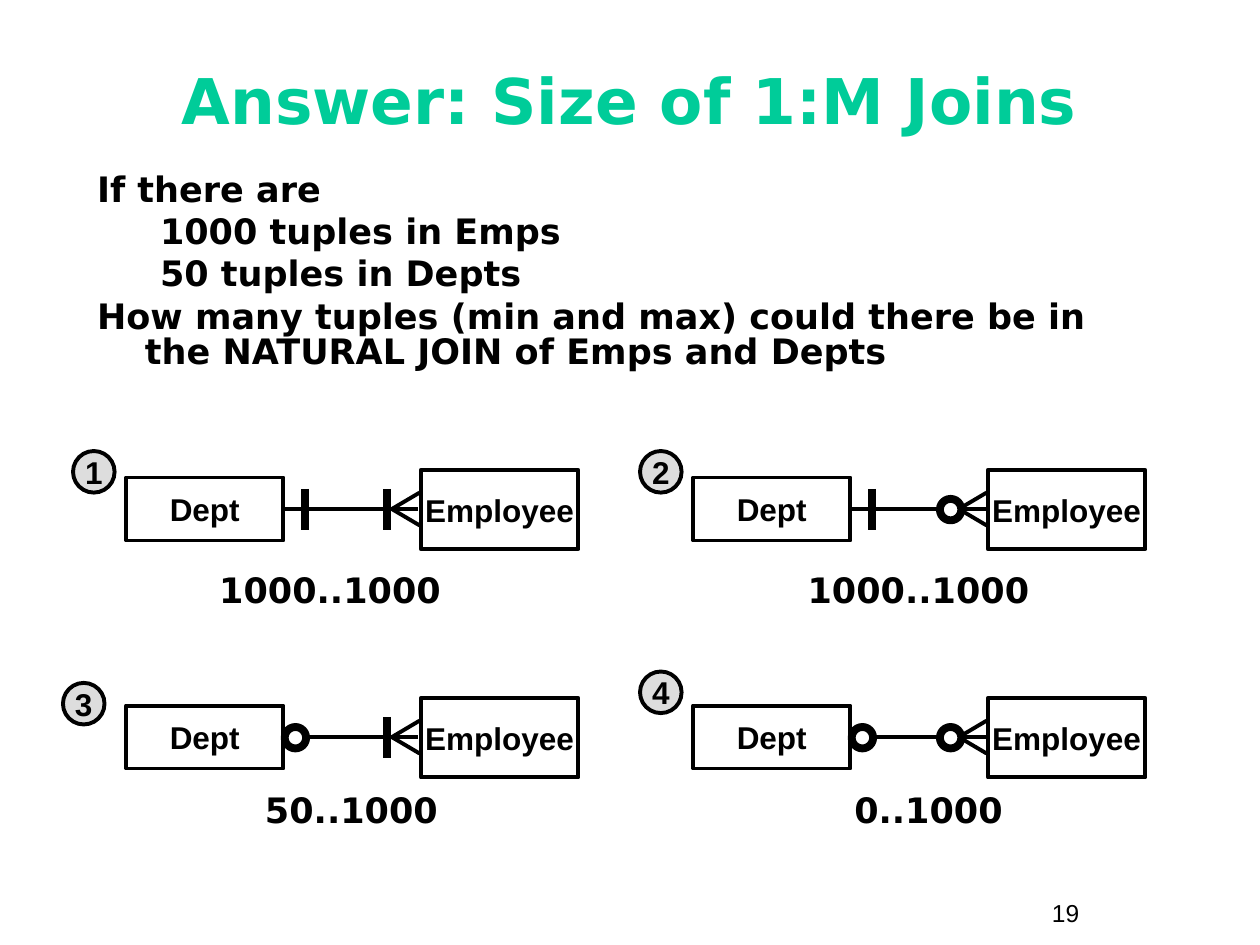
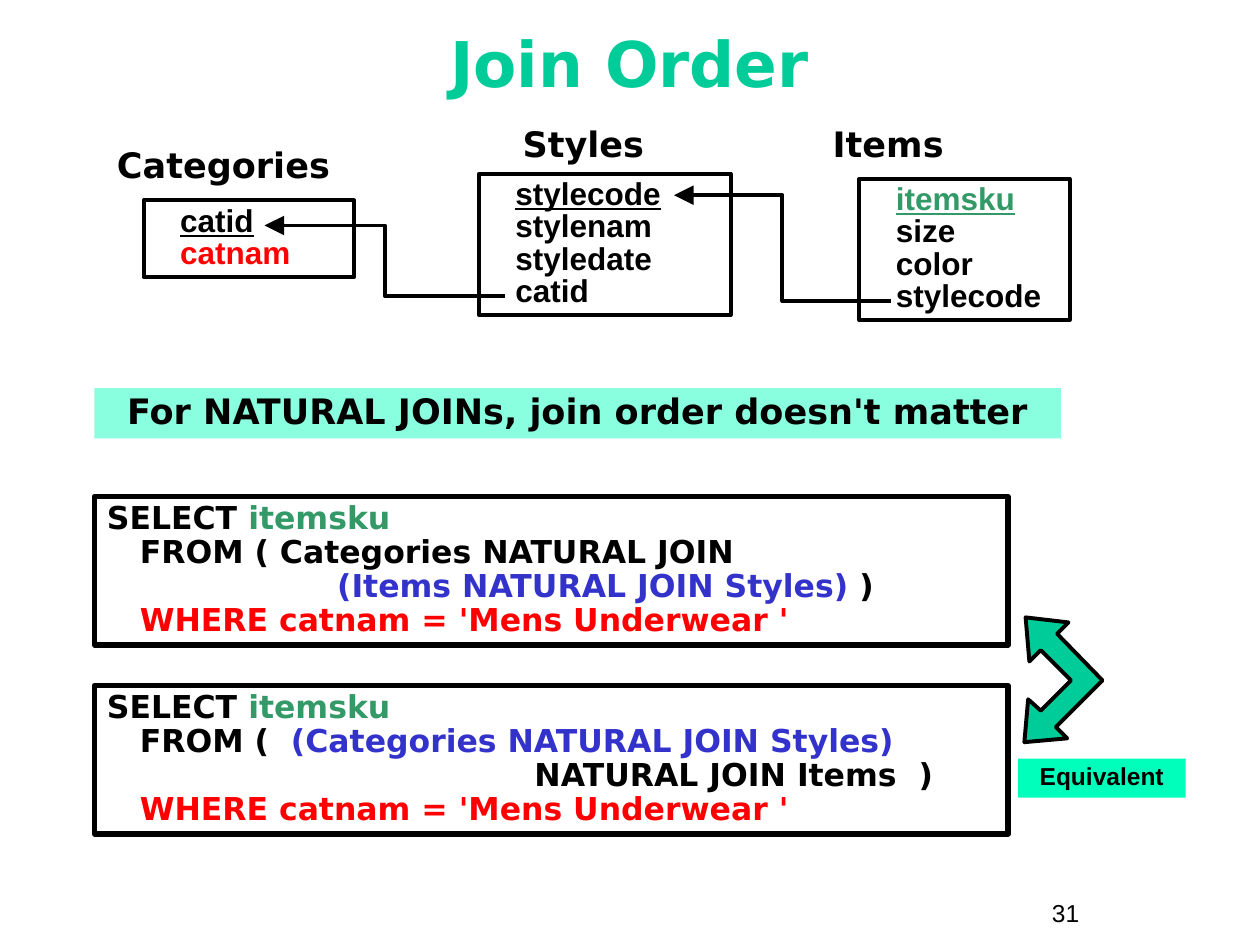
"""Builds two slides on the size and order of natural joins."""
from lxml.etree import SubElement
from pptx import Presentation
from pptx.dml.color import RGBColor
from pptx.enum.shapes import MSO_CONNECTOR, MSO_SHAPE
from pptx.enum.text import MSO_ANCHOR, MSO_AUTO_SIZE, PP_ALIGN
from pptx.oxml.ns import qn
from pptx.util import Inches, Pt

BLACK = RGBColor(0x00, 0x00, 0x00)
TEAL = RGBColor(0x00, 0xCC, 0x99)
GREEN = RGBColor(0x33, 0x99, 0x66)
RED = RGBColor(0xFF, 0x00, 0x00)
BLUE = RGBColor(0x33, 0x33, 0xCC)
GREY = RGBColor(0xDD, 0xDD, 0xDD)
MINT = RGBColor(0x89, 0xFF, 0xE0)
AQUA = RGBColor(0x01, 0xFF, 0xBC)

HEADING = {"name": "DejaVu Sans", "size": Pt(20), "bold": True, "color": BLACK}
TITLE = HEADING | {"size": Pt(36), "color": TEAL}
CODE = HEADING | {"size": Pt(18)}
LABEL = CODE | {"name": "Arial"}
TAG = LABEL | {"size": Pt(14)}
PAGE_NUMBER = TAG | {"bold": False}

LEFT = {"alignment": PP_ALIGN.LEFT}
CENTER = {"alignment": PP_ALIGN.CENTER}
CAPTION = CENTER | {"line_spacing": 0.9}
CODE_LINES = LEFT | {"line_spacing": 0.9}
TIGHT_LINES = LEFT | {"line_spacing": 0.85}

THIN, MEDIUM, THICK = 2.25, 3, 4.5


def style(target, formats):
    """Set each format value on a font, paragraph or text frame."""
    for name, value in formats.items():
        if name == "color":
            target.color.rgb = value
        else:
            setattr(target, name, value)


def write(frame, lines, font, layout, **frame_formats):
    """Fill a text frame; a line is a string or a list of (text, font changes)."""
    style(frame, {"word_wrap": True, "auto_size": MSO_AUTO_SIZE.NONE} | frame_formats)
    for index, line in enumerate(lines):
        paragraph = frame.add_paragraph() if index else frame.paragraphs[0]
        style(paragraph, layout)
        for text, changes in [(line, {})] if isinstance(line, str) else line:
            run = paragraph.add_run()
            run.text = text
            style(run.font, font | changes)


def place(shape, *area):
    """Move and size a placeholder, in inches."""
    style(shape, dict(zip(("left", "top", "width", "height"), map(Inches, area))))


def add_label(slide, text, area, font=HEADING, layout=LEFT):
    """Add one line of free-standing text."""
    box = slide.shapes.add_textbox(*map(Inches, area))
    write(box.text_frame, [text], font, layout)


def paint(shape, fill=None, width=None):
    """Give a shape its fill and black outline, or none of them."""
    shape.shadow.inherit = False
    if fill is None:
        shape.fill.background()
    else:
        shape.fill.solid()
        shape.fill.fore_color.rgb = fill
    if width is None:
        shape.line.fill.background()
    else:
        shape.line.color.rgb = BLACK
        shape.line.width = Pt(width)


def add_shape(slide, preset, area, fill=None, width=None):
    """Add a preset shape and return its text frame."""
    shape = slide.shapes.add_shape(preset, *map(Inches, area))
    paint(shape, fill, width)
    return shape.text_frame


def add_line(slide, start, end, width=THIN, bent=False):
    """Add a straight line, or a bent one that ends in an arrowhead."""
    kind = MSO_CONNECTOR.ELBOW if bent else MSO_CONNECTOR.STRAIGHT
    line = slide.shapes.add_connector(kind, *map(Inches, (*start, *end)))
    line.line.color.rgb = BLACK
    line.line.width = Pt(width)
    if bent:
        SubElement(line.line._get_or_add_ln(), qn("a:tailEnd"), type="triangle", w="lg", len="lg")
    SubElement(line._element.spPr, qn("a:effectLst"))


def add_slide(deck, layout, title, title_area, number):
    """Add a slide with its title and page number."""
    slide = deck.slides.add_slide(deck.slide_layouts[layout])
    place(slide.shapes.title, *title_area)
    write(slide.shapes.title.text_frame, [title], TITLE, CENTER, vertical_anchor=MSO_ANCHOR.MIDDLE)
    add_label(slide, str(number), (8.25, 7.08, 0.92, 0.34), PAGE_NUMBER)
    return slide


def add_question(slide, lines):
    """Fill the body placeholder with (level, text) lines without bullets."""
    body = slide.placeholders[1]
    place(body, 0.67, 1.33, 8.5, 1.75)
    write(body.text_frame, [text for _, text in lines], HEADING, TIGHT_LINES,
          vertical_anchor=MSO_ANCHOR.TOP)
    hanging = ((0.38, -0.38), (0.81, -0.31))
    for index, (paragraph, (level, _)) in enumerate(zip(body.text_frame.paragraphs, lines)):
        paragraph.level = level
        paragraph.space_before = Pt(3.7 if index else 0)
        properties = paragraph._p.get_or_add_pPr()
        margin, indent = hanging[level]
        properties.set("marL", str(Inches(margin)))
        properties.set("indent", str(Inches(indent)))
        SubElement(properties, qn("a:buNone"))


def add_centered(slide, preset, text, area, fill=None):
    """Add an outlined shape with a centred label."""
    frame = add_shape(slide, preset, area, fill, THIN)
    write(frame, [text], LABEL, CENTER, word_wrap=False, vertical_anchor=MSO_ANCHOR.MIDDLE)


def add_relationship(slide, left, top, dept_optional, employee_optional):
    """Draw Dept and Employee joined by a one-to-many line."""
    axis = top + 0.25

    def add_ring(offset):
        add_shape(slide, MSO_SHAPE.OVAL, (left + offset, axis - 0.08, 0.17, 0.17), width=THICK)

    def add_bar(offset):
        add_line(slide, (left + offset, axis - 0.16), (left + offset, axis + 0.17), THICK)

    add_centered(slide, MSO_SHAPE.RECTANGLE, "Dept", (left, top, 1.25, 0.5))
    add_centered(slide, MSO_SHAPE.RECTANGLE, "Employee", (left + 2.34, top - 0.06, 1.25, 0.63))
    line_start = 1.46 if dept_optional else 1.26
    line_end = 1.93 if employee_optional else 2.32
    add_line(slide, (left + line_start, axis), (left + line_end, axis))
    for rise in (-0.13, 0.13):
        add_line(slide, (left + 2.11, axis), (left + 2.33, axis + rise))
    if dept_optional:
        add_ring(1.26)
    else:
        add_bar(1.42)
    if employee_optional:
        add_line(slide, (left + 2.16, axis), (left + 2.33, axis))
        add_ring(1.96)
    else:
        add_bar(2.07)


def add_relation(slide, name, name_area, area, attributes):
    """Draw a relation as a named box of attributes with its key underlined."""
    add_label(slide, name, name_area)
    frame = add_shape(slide, MSO_SHAPE.RECTANGLE, area, width=THIN)
    lines = [[(text, {"color": color, "underline": index == 0})]
             for index, (text, color) in enumerate(attributes)]
    write(frame, lines, LABEL, TIGHT_LINES, vertical_anchor=MSO_ANCHOR.TOP,
          margin_left=Inches(0.29))


def add_query(slide, top, from_lines):
    """Draw a query box; only its FROM lines vary."""
    frame = add_shape(slide, MSO_SHAPE.RECTANGLE, (0.75, top, 7.25, 1.18), width=MEDIUM)
    lines = [
        [("SELECT ", {}), ("itemsku", {"color": GREEN})],
        *from_lines,
        [("   WHERE catnam = 'Mens Underwear '", {"color": RED})],
    ]
    write(frame, lines, CODE, CODE_LINES, vertical_anchor=MSO_ANCHOR.TOP)


def add_band(slide, text, area, fill, font):
    """Add a filled band with centred text."""
    frame = add_shape(slide, MSO_SHAPE.RECTANGLE, area, fill)
    write(frame, [text], font, CAPTION, vertical_anchor=MSO_ANCHOR.TOP)


def add_equivalence_arrow(slide):
    """Draw the bent double arrow between the two queries."""
    outline = [(8.13, 5.89), (8.16, 5.55), (8.26, 5.64), (8.5, 5.4), (8.26, 5.16), (8.17, 5.25),
               (8.14, 4.9), (8.48, 4.94), (8.39, 5.03), (8.75, 5.4), (8.38, 5.77), (8.47, 5.86)]
    start, *corners = [(Inches(x), Inches(y)) for x, y in outline]
    builder = slide.shapes.build_freeform(*start)
    builder.add_line_segments(corners, close=True)
    paint(builder.convert_to_shape(), TEAL, THIN)


def build_join_sizes(deck):
    """Build the slide on the size of one-to-many joins."""
    slide = add_slide(deck, 1, "Answer: Size of 1:M Joins", (0.33, 0.33, 9.33, 0.92), 19)
    add_question(slide, [
        (0, "If there are"),
        (1, "1000 tuples in Emps"),
        (1, "50 tuples in Depts"),
        (0, "How many tuples (min and max) could there be in the NATURAL JOIN of Emps and Depts"),
    ])
    cases = [
        ((0.58, 3.58), "1000..1000", (1.33, 4.5)),
        ((5.08, 3.58), "1000..1000", (6, 4.5)),
        ((0.5, 5.42), "50..1000", (1.5, 6.25)),
        ((5.08, 5.33), "0..1000", (6.08, 6.25)),
    ]
    for index, (badge, size, size_corner) in enumerate(cases):
        row, column = divmod(index, 2)
        add_relationship(slide, 1 + 4.5 * column, 3.79 + 1.81 * row, row == 1, column == 1)
        add_centered(slide, MSO_SHAPE.OVAL, str(index + 1), (*badge, 0.33, 0.33), GREY)
        add_label(slide, size, (*size_corner, 2.58, 0.4), layout=CAPTION)


def build_join_order(deck):
    """Build the slide on the order of natural joins."""
    slide = add_slide(deck, 5, "Join Order", (0.33, 0.08, 9.33, 0.83), 31)
    add_relation(slide, "Items", (6.51, 0.92, 2.15, 0.44), (6.82, 1.42, 1.67, 1.12),
                 [("itemsku", GREEN), ("size", BLACK), ("color", BLACK), ("stylecode", BLACK)])
    add_relation(slide, "Styles", (4.05, 0.92, 2.15, 0.44), (3.8, 1.38, 2, 1.12),
                 [(name, BLACK) for name in ("stylecode", "stylenam", "styledate", "catid")])
    add_relation(slide, "Categories", (0.83, 1.09, 2.15, 0.44), (1.14, 1.59, 1.67, 0.61),
                 [("catid", BLACK), ("catnam", RED)])
    add_line(slide, (7.07, 2.39), (5.35, 1.55), bent=True)
    add_line(slide, (4.01, 2.35), (2.1, 1.79), bent=True)
    add_band(slide, "For NATURAL JOINs, join order doesn't matter", (0.75, 3.08, 7.67, 0.4),
             MINT, HEADING)
    add_query(slide, 3.94, [
        "   FROM ( Categories NATURAL JOIN",
        [("                     (Items NATURAL JOIN Styles)", {"color": BLUE}), (" )", {})],
    ])
    add_query(slide, 5.44, [
        [("   FROM (  ", {}), ("(Categories NATURAL JOIN Styles)", {"color": BLUE})],
        "                                       NATURAL JOIN Items  )",
    ])
    add_equivalence_arrow(slide)
    add_band(slide, "Equivalent", (8.08, 6.02, 1.33, 0.31), AQUA, TAG)


def main():
    """Build and save the deck."""
    deck = Presentation()
    deck.slide_width, deck.slide_height = Inches(10), Inches(7.5)
    build_join_sizes(deck)
    build_join_order(deck)
    deck.save("out.pptx")


if __name__ == "__main__":
    main()
